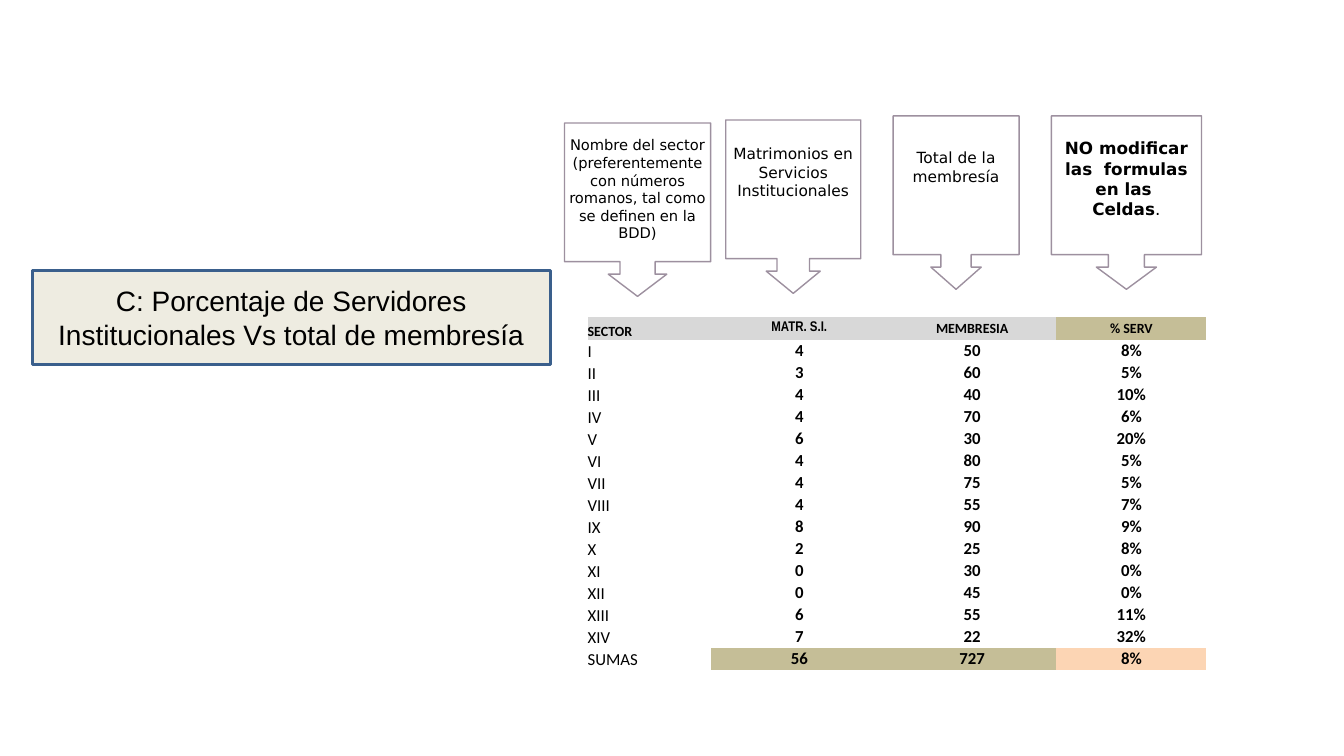
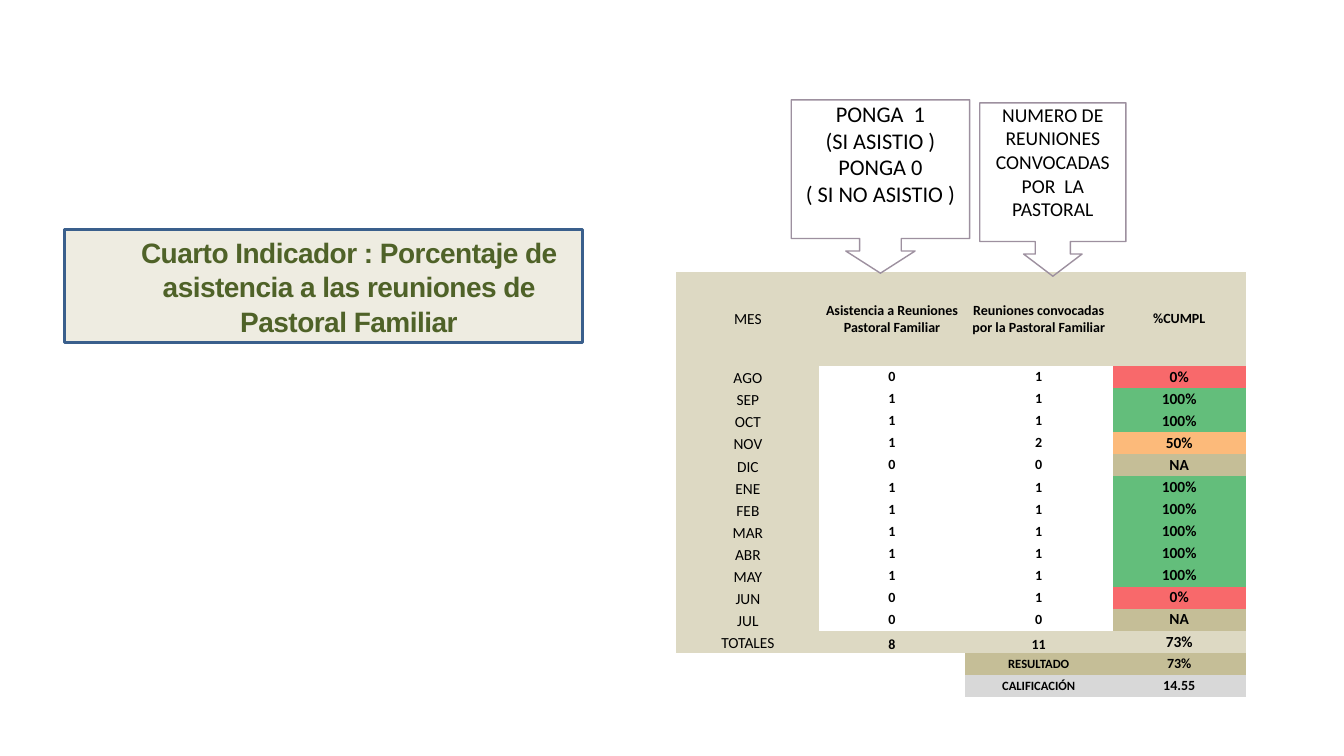
from dataclasses import dataclass

from pptx import Presentation
from pptx.dml.color import RGBColor
from pptx.enum.shapes import MSO_SHAPE
from pptx.enum.text import MSO_ANCHOR, PP_ALIGN
from pptx.oxml.ns import qn
from pptx.util import Inches, Pt

COLUMNS, ROWS = 160, 90
CELL = Inches(7.5) / ROWS
NO_GRID_STYLE = "{2D5ABB26-0587-4C30-8999-92F81FD0307C}"

BLACK = "000000"
CREAM = "EEECE1"
NAVY = "3A5F8C"
MAUVE = "9D909F"
OLIVE = "4F6228"
GRAY = "D8D8D8"
KHAKI = "C5BE97"
SAND = "DDD9C3"
PEACH = "FCD5B4"
SCORE_FILLS = {"0%": "F8696B", "50%": "FCBA7A", "100%": "63BE7B", "NA": KHAKI}


def color(value):
    return RGBColor.from_string(value)


def grid(*units):
    return [round(unit * CELL) for unit in units]


@dataclass
class Entry:
    text: str = ""
    size: float = 10
    bold: bool = True
    fill: str = ""
    font: str = "Calibri"
    bottom: bool = False
    left: bool = False


class Deck:
    def __init__(self):
        self.presentation = Presentation()
        self.presentation.slide_width, self.presentation.slide_height = grid(COLUMNS, ROWS)
        self.slide = None

    def new_slide(self):
        self.slide = self.presentation.slides.add_slide(self.presentation.slide_layouts[6])

    def style_run(self, run, font, size, bold=False, ink=BLACK, spacing=0):
        run.font.name = font
        run.font.size = Pt(size)
        run.font.bold = bold
        run.font.color.rgb = color(ink)
        if spacing:
            run.font._element.set("spc", str(round(spacing * 100)))

    def shape(self, kind, box, line, width, fill=None):
        shape = self.slide.shapes.add_shape(kind, *grid(*box))
        shape.shadow.inherit = False
        shape.line.color.rgb = color(line)
        shape.line.width = Pt(width)
        if fill:
            shape.fill.solid()
            shape.fill.fore_color.rgb = color(fill)
        else:
            shape.fill.background()
        shape.text_frame.word_wrap = True
        return shape

    def title(self, box, text, indent=0, line_spacing=1, **style):
        text_frame = self.shape(MSO_SHAPE.RECTANGLE, box, NAVY, 2, CREAM).text_frame
        text_frame.vertical_anchor = MSO_ANCHOR.MIDDLE
        text_frame.margin_left += grid(indent)[0]
        text_frame.text = text
        paragraph = text_frame.paragraphs[0]
        paragraph.alignment = PP_ALIGN.CENTER
        paragraph.line_spacing = line_spacing
        self.style_run(paragraph.runs[0], "Arial", 20, **style)

    def callout(self, left, top, width, text, font, size, side=0, above=0, bold=False):
        height, head_length = 20.64, 2.64
        shape = self.shape(MSO_SHAPE.DOWN_ARROW_CALLOUT, (left, top, width, height), MAUVE, 1)
        shorter = min(width, height)
        for index, share in enumerate((0.24, 0.2, head_length / shorter, 0.8)):
            shape.adjustments[index] = share
        text_frame = shape.text_frame
        text_frame.vertical_anchor = MSO_ANCHOR.TOP
        text_frame.margin_left = text_frame.margin_right = grid(side)[0]
        text_frame.margin_top, text_frame.margin_bottom = grid(above, 0)
        text_frame.text = text
        for paragraph in text_frame.paragraphs:
            paragraph.alignment = PP_ALIGN.CENTER
            for run in paragraph.runs:
                self.style_run(run, font, size, bold)
        return text_frame.paragraphs[-1]

    def table(self, left, top, widths, heights, rows):
        frame = self.slide.shapes.add_table(
            len(rows), len(widths), *grid(left, top, sum(widths), sum(heights)))
        table = frame.table
        table.first_row = table.horz_banding = False
        table._tbl.tblPr.find(qn("a:tableStyleId")).text = NO_GRID_STYLE
        for column, width in zip(table.columns, grid(*widths)):
            column.width = width
        for row, height, entries in zip(table.rows, grid(*heights), rows):
            row.height = height
            for cell, entry in zip(row.cells, entries):
                self.fill_cell(cell, entry)

    def fill_cell(self, cell, entry):
        cell.margin_left = cell.margin_right = cell.margin_top = cell.margin_bottom = 0
        cell.vertical_anchor = MSO_ANCHOR.BOTTOM if entry.bottom else MSO_ANCHOR.MIDDLE
        if entry.fill:
            cell.fill.solid()
            cell.fill.fore_color.rgb = color(entry.fill)
        else:
            cell.fill.background()
        paragraph = cell.text_frame.paragraphs[0]
        paragraph.alignment = PP_ALIGN.LEFT if entry.left else PP_ALIGN.CENTER
        if entry.text:
            paragraph.text = entry.text
            self.style_run(paragraph.runs[0], entry.font, entry.size, entry.bold)
        else:
            paragraph._p.get_or_add_endParaRPr().set("sz", str(entry.size * 100))


def servers_slide(deck):
    deck.new_slide()
    deck.title((3.84, 32.16, 61.68, 11.28),
               "C: Porcentaje de Servidores Institucionales Vs total de membresía")
    sans = "DejaVu Sans"
    deck.callout(67.2, 14.64, 17.4,
                 "Nombre del sector (preferentemente con números romanos, "
                 "tal como se definen en la BDD)", sans, 10.5, 0.24, 1.56)
    deck.callout(86.4, 14.28, 16.08, "Matrimonios en Servicios Institucionales",
                 sans, 11, 0.42, 2.88)
    deck.callout(106.32, 13.8, 15, "Total de la membresía", sans, 11, 1.56, 3.84)
    warning = deck.callout(125.16, 13.8, 17.88, "NO modificar las  formulas en las  Celdas",
                           sans, 12, 1.32, 2.64, bold=True)
    period = warning.add_run()
    period.text = "."
    deck.style_run(period, sans, 12)

    sectors = ["I", "II", "III", "IV", "V", "VI", "VII", "VIII", "IX", "X",
               "XI", "XII", "XIII", "XIV"]
    couples = [4, 3, 4, 4, 6, 4, 4, 4, 8, 2, 0, 0, 6, 7]
    members = [50, 60, 40, 70, 30, 80, 75, 55, 90, 25, 30, 45, 55, 22]

    def line(name, served, total, fills=("", "", "")):
        values = (str(served), str(total), f"{served / total:.0%}")
        return [Entry(name, 12, False, bottom=True, left=True),
                *(Entry(value, 12, fill=fill) for value, fill in zip(values, fills))]

    header = [Entry("SECTOR", fill=GRAY, bottom=True, left=True),
              Entry("MATR. S.I.", fill=GRAY, font="Arial Narrow"),
              Entry("MEMBRESIA", fill=GRAY), Entry("% SERV", fill=KHAKI)]
    body = [line(*values) for values in zip(sectors, couples, members)]
    totals = line("SUMAS", sum(couples), sum(members), (KHAKI, KHAKI, PEACH))
    rows = [header, *body, totals]
    deck.table(69.96, 37.68, (14.64, 21.12, 20.04, 17.88),
               [2.82] + [2.62] * (len(rows) - 1), rows)


def attendance_slide(deck):
    deck.new_slide()
    deck.title((7.68, 27.36, 61.68, 13.44),
               "Cuarto Indicador : Porcentaje de asistencia a las reuniones de Pastoral Familiar",
               indent=6, line_spacing=1.02, bold=True, ink=OLIVE, spacing=-0.4)

    months = ["AGO", "SEP", "OCT", "NOV", "DIC", "ENE", "FEB", "MAR", "ABR", "MAY",
              "JUN", "JUL"]
    attended = [0, 1, 1, 1, 0, 1, 1, 1, 1, 1, 0, 0]
    convened = [1, 1, 1, 2, 0, 1, 1, 1, 1, 1, 1, 0]
    share = sum(attended) / sum(convened)

    def line(month, present, total):
        score = f"{present / total:.0%}" if total else "NA"
        return [Entry(month, 11, False, SAND, bottom=True), Entry(str(present)),
                Entry(str(total)), Entry(score, 11, fill=SCORE_FILLS[score])]

    def summary(label, value, fill):
        return [Entry(), Entry(), Entry(label, 9, fill=fill), Entry(value, fill=fill)]

    headings = ["Asistencia a Reuniones Pastoral Familiar",
                "Reuniones convocadas por la Pastoral Familiar", "%CUMPL"]
    rows = [[Entry("MES", 11, False, SAND), *(Entry(text, fill=SAND) for text in headings)]]
    rows += [line(*values) for values in zip(months, attended, convened)]
    rows += [
        [Entry("TOTALES", 11, False, SAND, bottom=True),
         Entry(str(sum(attended)), fill=SAND, bottom=True),
         Entry(str(sum(convened)), fill=SAND, bottom=True),
         Entry(f"{share:.0%}", 11, fill=SAND)],
        summary("RESULTADO", f"{share:.0%}", KHAKI),
        summary("CALIFICACIÓN", f"{share * 20:.2f}", GRAY),
        [Entry() for _ in range(4)],
    ]
    deck.table(80.52, 32.4, (17.04, 17.28, 17.64, 15.84),
               [11.16] + [2.63] * (len(rows) - 1), rows)

    deck.callout(94.2, 11.88, 21.24,
                 "PONGA  1\n(SI ASISTIO )\nPONGA 0\n( SI NO ASISTIO )", "Calibri", 16)
    deck.callout(116.64, 12.24, 17.4, "NUMERO DE REUNIONES CONVOCADAS POR  LA PASTORAL",
                 "Calibri", 14, side=0.6)


def main():
    deck = Deck()
    servers_slide(deck)
    attendance_slide(deck)
    deck.presentation.save("out.pptx")


if __name__ == "__main__":
    main()
